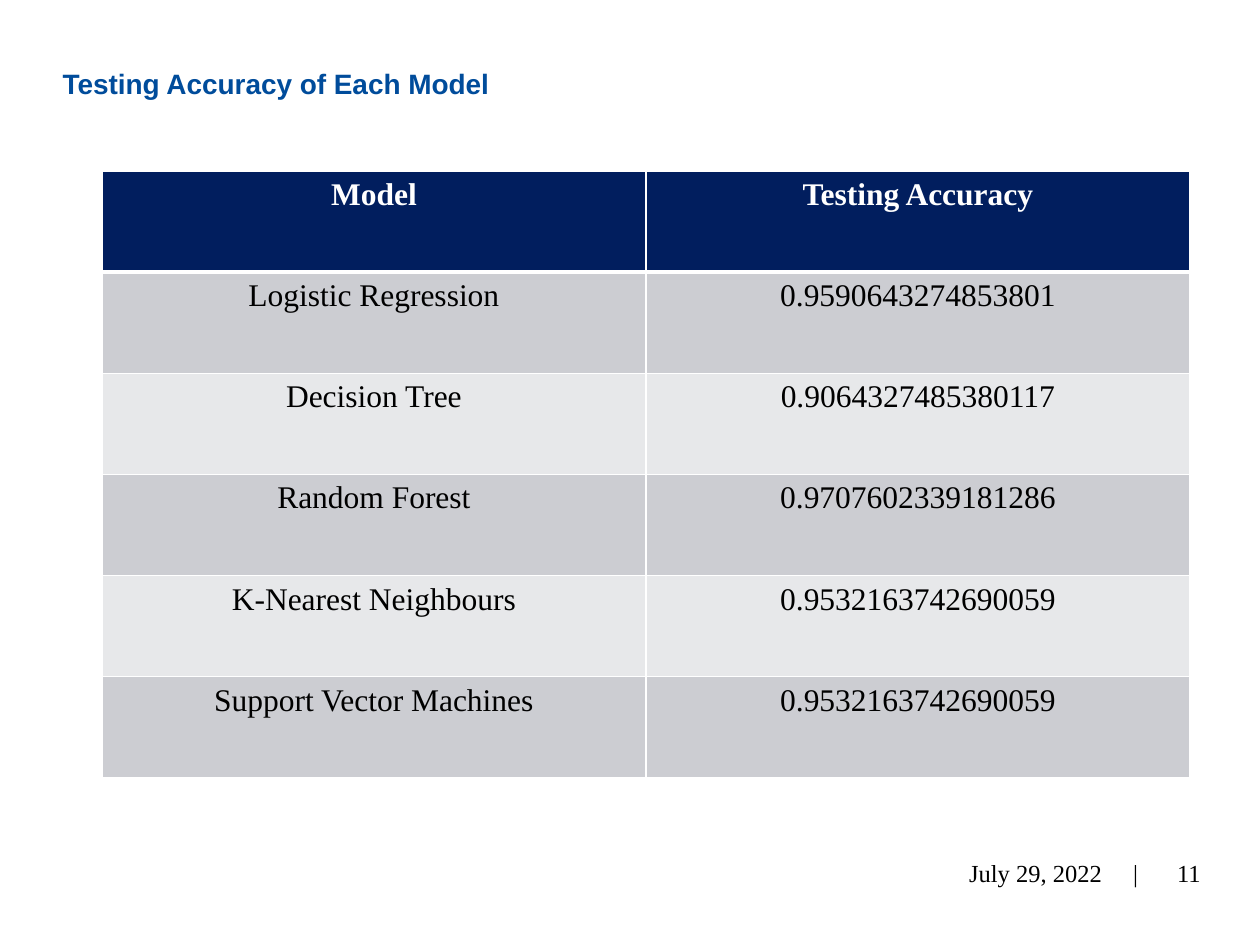
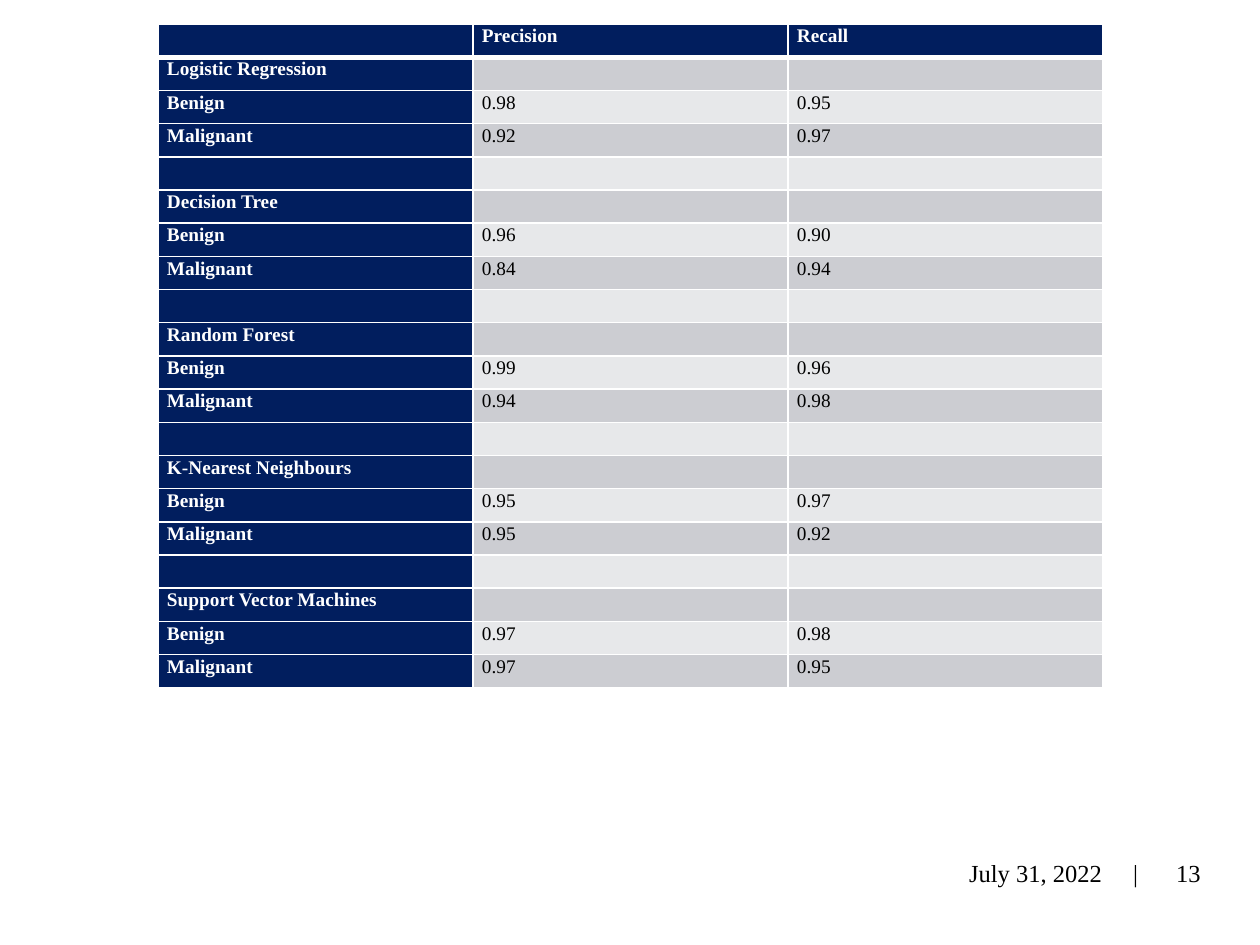
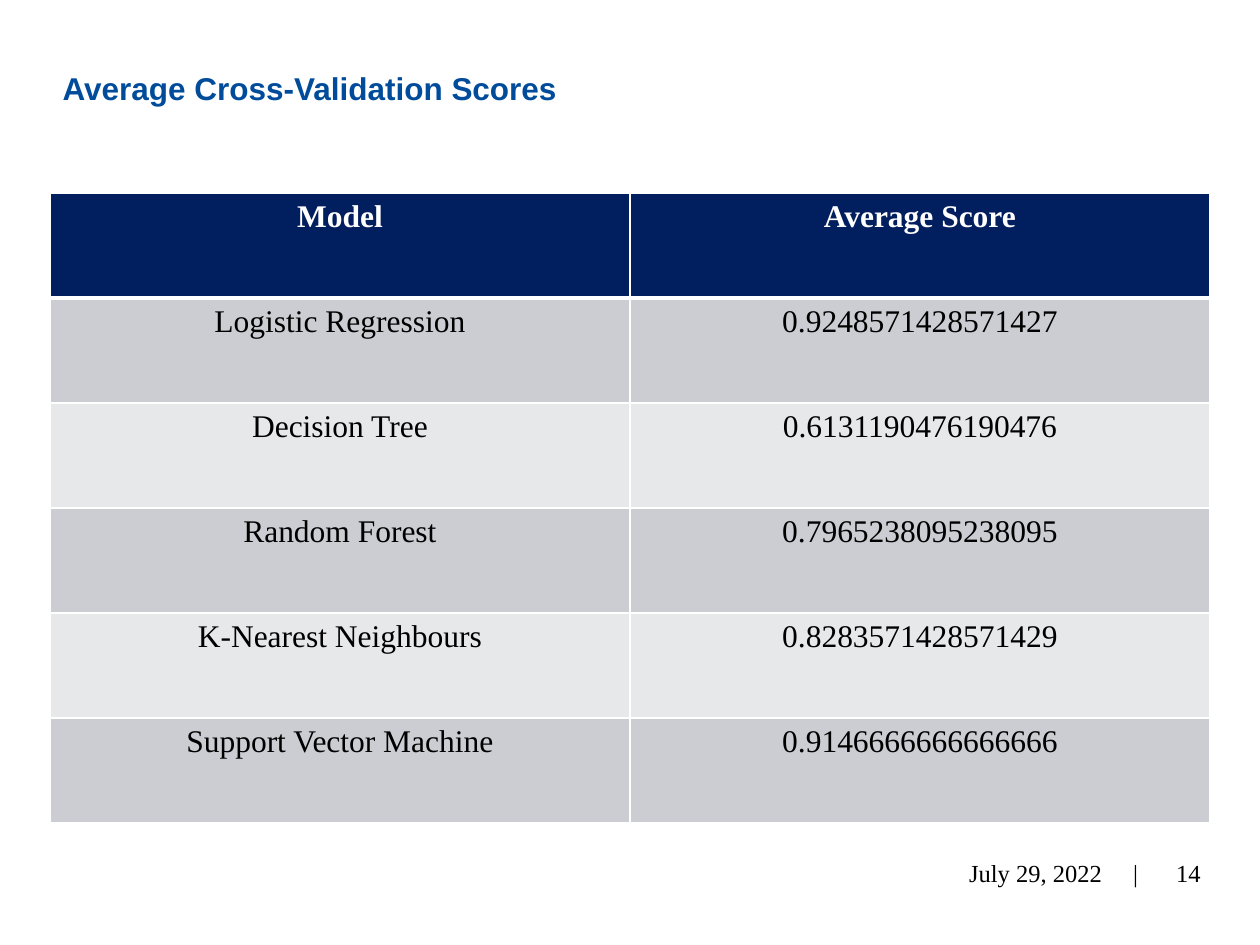
from lxml.etree import SubElement
from pptx import Presentation
from pptx.dml.color import RGBColor
from pptx.enum.text import MSO_ANCHOR, MSO_AUTO_SIZE, PP_ALIGN
from pptx.oxml import parse_xml
from pptx.oxml.ns import nsdecls, qn
from pptx.util import Emu, Pt

SCALE = 914400 / 126
NAVY, BLUE, WHITE, BLACK = "011E5E", "004C9B", "FFFFFF", "000000"
BANDS = ("CCCDD2", "E7E8EA")
SANS, SERIF = "Arial", "Times New Roman"
MODELS = ("Logistic Regression", "Decision Tree", "Random Forest",
          "K-Nearest Neighbours", "Support Vector Machines")


def px(n):
    return Emu(round(n * SCALE))


def rgb(hex_text):
    return RGBColor.from_string(hex_text)


def place(sp, box):
    sp.left, sp.top, sp.width, sp.height = map(px, box)


def write(tf, text, size=14, font=SERIF, color=BLACK, bold=False,
          align=PP_ALIGN.LEFT, after=0, spacing=None, tab=None):
    p = tf.paragraphs[0]
    p.alignment = align
    p.space_after = Pt(after)
    if spacing:
        p.line_spacing = spacing
    if tab:
        tabs = SubElement(p._p.get_or_add_pPr(), qn("a:tabLst"))
        SubElement(tabs, qn("a:tab"), pos=str(px(tab)), algn="l")
    if not text:
        SubElement(p._p, qn("a:endParaRPr"), sz=str(size * 100))
        return
    r = p.add_run()
    r.text = text
    r.font.size = Pt(size)
    r.font.name = font
    r.font.bold = bold
    r.font.color.rgb = rgb(color)


def add_title(slide, text, top, size):
    sp = slide.shapes.title
    place(sp, (50, top, 1164, 147))
    tf = sp.text_frame
    tf.auto_size = MSO_AUTO_SIZE.NONE
    tf.vertical_anchor = MSO_ANCHOR.TOP
    write(tf, text, size=size, font=SANS, color=BLUE, bold=True,
          spacing=Pt(26.6))


def footer_box(slide, box):
    x, y, w, h = map(px, box)
    tf = slide.shapes.add_textbox(x, y, w, h).text_frame
    tf.word_wrap = True
    tf.vertical_anchor = MSO_ANCHOR.MIDDLE
    return tf


def add_footer(slide, date, number):
    tf = footer_box(slide, (864, 848, 286, 50))
    tf.margin_left, tf.margin_right = px(105), 0
    write(tf, f"{date}\t|", after=6, tab=164)
    tf = footer_box(slide, (1120, 848, 93, 50))
    write(tf, number, align=PP_ALIGN.RIGHT, after=6)


def set_borders(cell, top, bottom):
    tcPr = cell._tc.get_or_add_tcPr()
    widths = {"lnL": 1, "lnR": 1, "lnT": top, "lnB": bottom}
    for i, (tag, width) in enumerate(widths.items()):
        tcPr.insert(i, parse_xml(
            f'<a:{tag} {nsdecls("a")} w="{Pt(width)}"><a:solidFill>'
            f'<a:srgbClr val="{WHITE}"/></a:solidFill></a:{tag}>'))


def add_grid(slide, box, rows, header_column=False, margins=None, **style):
    x, y, w, h = map(px, box)
    table = slide.shapes.add_table(len(rows), len(rows[0]), x, y, w, h).table
    table.horz_banding = False
    for i, values in enumerate(rows):
        table.rows[i].height = Emu(h // len(rows))
        for j, value in enumerate(values):
            cell = table.cell(i, j)
            head = i == 0 or (header_column and j == 0)
            cell.fill.solid()
            cell.fill.fore_color.rgb = rgb(NAVY if head else BANDS[(i - 1) % 2])
            set_borders(cell, 3 if i == 1 else 1, 3 if i == 0 else 1)
            if margins:
                cell.margin_left = cell.margin_right = px(margins[0])
                cell.margin_top = cell.margin_bottom = px(margins[1])
            write(cell.text_frame, value, color=WHITE if head else BLACK,
                  bold=head, **style)


def score_slide(prs, title, title_top, title_size, box, rows, date, number):
    slide = prs.slides.add_slide(prs.slide_layouts[5])
    add_title(slide, title, title_top, title_size)
    add_footer(slide, date, number)
    add_grid(slide, box, rows, size=18, align=PP_ALIGN.CENTER)


def report_slide(prs, box, scores, date, number):
    slide = prs.slides.add_slide(prs.slide_layouts[6])
    add_footer(slide, date, number)
    rows = [("", "Precision", "Recall")]
    for model, (benign, malignant) in zip(MODELS, scores):
        if len(rows) > 1:
            rows.append(("", "", ""))
        rows += [(model, "", ""), ("Benign", *benign),
                 ("Malignant", *malignant)]
    add_grid(slide, box, rows, header_column=True, margins=(9, 0),
             size=11, after=8, spacing=1.07)


def main():
    prs = Presentation()
    prs.slide_width, prs.slide_height = px(1260), px(945)

    accuracies = ("0.9590643274853801", "0.9064327485380117",
                  "0.9707602339181286", "0.9532163742690059",
                  "0.9532163742690059")
    score_slide(prs, "Testing Accuracy of Each Model", 47, 16,
                (102, 171, 1088, 607),
                [("Model", "Testing Accuracy"), *zip(MODELS, accuracies)],
                "July 29, 2022", "11")

    report_slide(prs, (158, 24, 945, 664), [
        (("0.98", "0.95"), ("0.92", "0.97")),
        (("0.96", "0.90"), ("0.84", "0.94")),
        (("0.99", "0.96"), ("0.94", "0.98")),
        (("0.95", "0.97"), ("0.95", "0.92")),
        (("0.97", "0.98"), ("0.97", "0.95")),
    ], "July 31, 2022", "13")

    averages = ("0.9248571428571427", "0.6131190476190476",
                "0.7965238095238095", "0.8283571428571429",
                "0.9146666666666666")
    names = (*MODELS[:-1], "Support Vector Machine")
    score_slide(prs, "Average Cross-Validation Scores", 54, 18,
                (50, 193, 1160, 630),
                [("Model", "Average Score"), *zip(names, averages)],
                "July 29, 2022", "14")

    prs.save("out.pptx")


if __name__ == "__main__":
    main()
